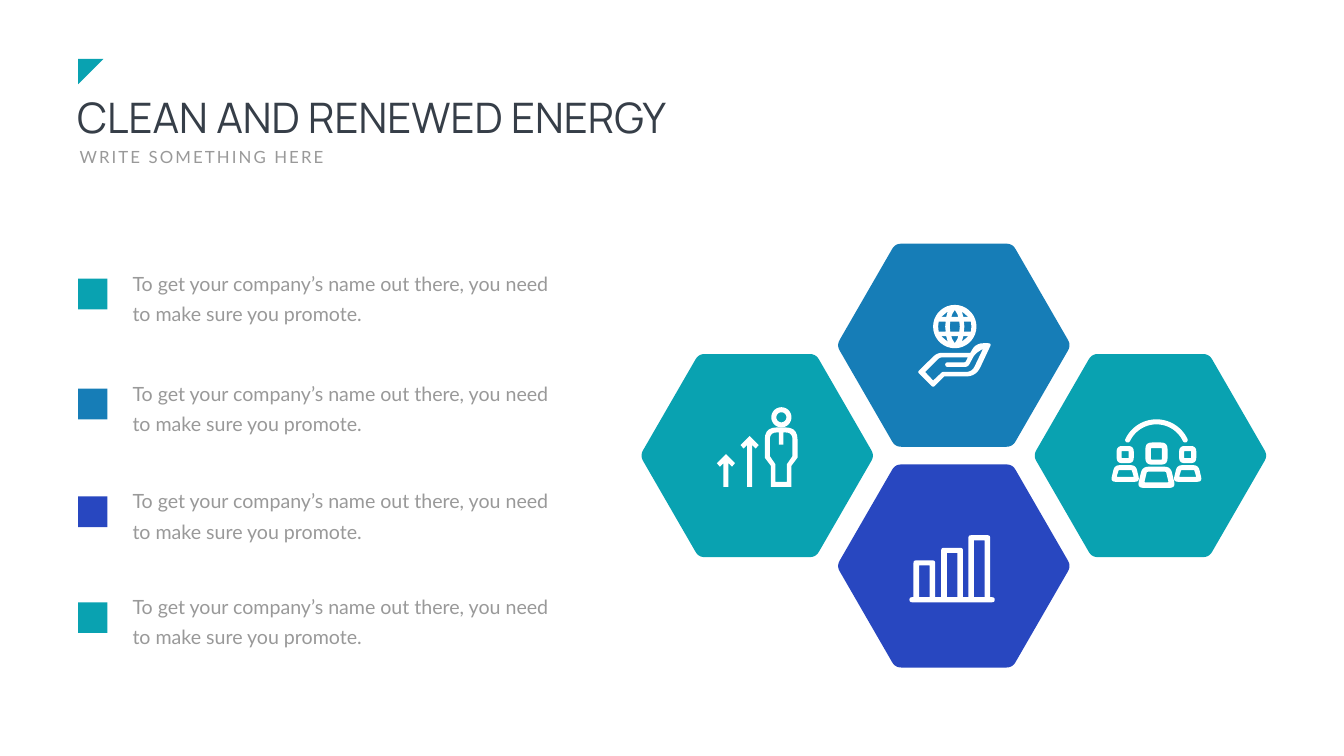
"""Build the clean and renewed energy slide with its bullets and hexagon icons."""
from math import cos, dist, radians, sin

from pptx import Presentation
from pptx.dml.color import RGBColor
from pptx.enum.shapes import MSO_SHAPE as Preset
from pptx.enum.text import MSO_ANCHOR as Anchor, MSO_AUTO_SIZE as AutoSize, PP_ALIGN as Align
from pptx.util import Inches, Pt

COLORS = {"teal": "09A2B1", "blue": "167DB7", "indigo": "2847C0",
          "white": "FFFFFF", "dark": "363E48", "gray": "999999"}

TITLE = "CLEAN AND RENEWED ENERGY"
SUBTITLE = "WRITE SOMETHING HERE"
PROMOTE = "To get your company’s name out there, you need to make sure you promote."
BULLETS = [(5.53, "teal", PROMOTE), (7.71, "blue", PROMOTE),
           (9.85, "indigo", PROMOTE), (11.95, "teal", PROMOTE)]

CLUSTER = (18.92, 9.04)
COLUMN_STEP, ROW_STEP = 3.9, 2.19
HEXAGONS = [(-1, 0, "teal"), (0, -1, "blue"), (0, 1, "indigo"), (1, 0, "teal")]
HEX_WIDTH, HEX_HEIGHT, HEX_CUT = 4.65, 4.03, 0.12

GLOBE = (18.94, 6.48)
GLOBE_CORNER = [(0.14, 0.3), (0.17, 0.19), (0.27, 0.19)]
GLOBE_SIDE = [(0.18, -0.1), (0.19, 0), (0.18, 0.1), (0.32, 0.1), (0.33, 0), (0.32, -0.1)]
GLOBE_CAP = [(-0.07, 0.19), (-0.05, 0.25), (0, 0.33), (0.05, 0.25), (0.07, 0.19)]
GLOBE_CORE = [(-0.09, -0.1), (-0.1, 0), (-0.09, 0.1), (0.09, 0.1), (0.1, 0), (0.09, -0.1)]
HAND = [
    [(18.2, 7.38, 0.04), (18.59, 7, 0.1), (19.25, 7), (19.35, 6.81, 0.16), (19.67, 6.81, 0.07),
     (19.36, 7.47, 0.2), (18.73, 7.47), (18.51, 7.69, 0.05)],
    [(18.35, 7.38), (18.64, 7.09, 0.06), (19.2, 7.09), (19.15, 7.19, 0.03), (18.75, 7.19, 0.05),
     (18.75, 7.28, 0.05), (19.2, 7.28, 0.06), (19.34, 7.02, 0.08), (19.5, 6.92),
     (19.28, 7.38, 0.12), (18.69, 7.38, 0.02), (18.51, 7.55)],
]
WORKER = [
    [(15.17, 8.48, 0.24), (15.82, 8.48, 0.24), (15.82, 9.08), (15.7, 9.24), (15.7, 9.66),
     (15.29, 9.66), (15.29, 9.24), (15.17, 9.08)],
    [(15.27, 8.58, 0.14), (15.45, 8.58), (15.45, 8.82), (15.54, 8.82), (15.54, 8.58),
     (15.72, 8.58, 0.14), (15.72, 9.05), (15.61, 9.21), (15.61, 9.56), (15.38, 9.56),
     (15.38, 9.21), (15.27, 9.05)],
]
WORKER_HEAD = (15.5, 8.28)
ARROWS = [(14.87, 8.65), (14.4, 9.01)]
ARROW_FOOT = 9.66
CROWD = [
    [(22.94, 8.78, 9.22, 0.22, 0.22, 0.13), (22.94, 8.89, 9.12, 0.11, 0.11, 0.02)],
    [(22.94, 9.26, 9.68, 0.28, 0.38, 0.12), (22.94, 9.36, 9.57, 0.19, 0.24, 0.02)],
]
for neighbour in (22.32, 23.56):
    CROWD += [
        [(neighbour, 8.85, 9.19, 0.17, 0.17, 0.11), (neighbour, 8.95, 9.09, 0.07, 0.07, 0.01)],
        [(neighbour, 9.23, 9.56, 0.21, 0.29, 0.1), (neighbour, 9.33, 9.46, 0.13, 0.17, 0.01)],
    ]
BARS = [(18.12, 11.12), (18.67, 10.87), (19.21, 10.62)]
BAR_WIDTH, BAR_WALL, BAR_BASE = 0.43, 0.11, 11.85


def arc(x, y, radius, start=0, stop=360, steps=36):
    """Return points on an arc, with angles counterclockwise in degrees."""
    angles = [radians(start + (stop - start) * step / steps) for step in range(steps + 1)]
    return [(x + radius * cos(angle), y - radius * sin(angle)) for angle in angles]


def rounded(corners):
    """Return the outline with each (x, y, cut) corner turned into a curve."""
    outline = []
    for index, (x, y, *cut) in enumerate(corners):
        if not cut:
            outline.append((x, y))
            continue
        ends = []
        for other in (corners[index - 1], corners[(index + 1) % len(corners)]):
            share = cut[0] / dist((x, y), other[:2])
            ends.append((x + (other[0] - x) * share, y + (other[1] - y) * share))
        for t in (0, 0.2, 0.4, 0.6, 0.8, 1):
            weights = ((1 - t) ** 2, 2 * t * (1 - t), t * t)
            outline.append(tuple(sum(weight * point[axis] for weight, point
                                     in zip(weights, (ends[0], (x, y), ends[1])))
                                 for axis in (0, 1)))
    return outline


def trapezoid(x, top, bottom, half_top, half_bottom, cut):
    """Return a symmetric trapezoid with rounded corners."""
    return rounded([(x - half_top, top, cut), (x + half_top, top, cut),
                    (x + half_bottom, bottom, cut), (x - half_bottom, bottom, cut)])


def paint(shape, color):
    """Give a shape a flat fill without line or shadow."""
    shape.shadow.inherit = False
    shape.fill.solid()
    shape.fill.fore_color.rgb = RGBColor.from_string(COLORS[color])
    shape.line.fill.background()


def draw(shapes, color, *contours):
    """Draw one freeform from closed contours, the inner ones being holes."""
    builder = None
    for contour in contours:
        points = [(Inches(x), Inches(y)) for x, y in contour]
        if builder is None:
            builder = shapes.build_freeform(*points[0])
        else:
            builder.move_to(*points[0])
        builder.add_line_segments(points[1:], close=True)
    paint(builder.convert_to_shape(), color)


def add_preset(shapes, preset, color, box, rotation=0):
    """Add a filled preset shape."""
    shape = shapes.add_shape(preset, *map(Inches, box))
    shape.rotation = rotation
    paint(shape, color)


def write(holder, text, size, font="Lato", color="gray", wrap=True, leading=None, tracking=None):
    """Write one formatted paragraph into a text holder."""
    frame = holder.text_frame
    frame.word_wrap = wrap
    frame.auto_size = AutoSize.SHAPE_TO_FIT_TEXT
    frame.vertical_anchor = Anchor.TOP
    paragraph = frame.paragraphs[0]
    paragraph.alignment = Align.LEFT
    if leading:
        paragraph.line_spacing = Pt(leading)
    run = paragraph.add_run()
    run.text = text
    run.font.size = Pt(size)
    run.font.name = font
    run.font.color.rgb = RGBColor.from_string(COLORS[color])
    if tracking:
        run.font._element.set("spc", str(tracking * 100))


def draw_globe(shapes):
    """Draw the globe with its grid of openings."""
    openings = [(GLOBE_CORE, 1, 1)]
    openings += [(GLOBE_CORNER, sx, sy) for sx in (-1, 1) for sy in (-1, 1)]
    openings += [(GLOBE_SIDE, sx, 1) for sx in (-1, 1)]
    openings += [(GLOBE_CAP, 1, sy) for sy in (-1, 1)]
    x, y = GLOBE
    draw(shapes, "white", arc(x, y, 0.43),
         *[[(x + sx * dx, y + sy * dy) for dx, dy in points] for points, sx, sy in openings])


def draw_bars(shapes):
    """Draw the bar icon on its rounded baseline."""
    skyline, openings = [], []
    for left, top in BARS:
        right = left + BAR_WIDTH
        skyline += [(left, BAR_BASE), (left, top, 0.05), (right, top, 0.05), (right, BAR_BASE)]
        inner = (left + BAR_WALL, right - BAR_WALL)
        openings.append([(inner[0], top + 0.1), (inner[1], top + 0.1),
                         (inner[1], BAR_BASE), (inner[0], BAR_BASE)])
    baseline = [(19.73, 11.85, 0.05), (19.73, 11.95, 0.05),
                (18.04, 11.95, 0.05), (18.04, 11.85, 0.05)]
    draw(shapes, "white", rounded(skyline + baseline), *openings)


def main():
    """Assemble and save the slide."""
    deck = Presentation()
    deck.slide_width, deck.slide_height = Inches(26.66), Inches(15)
    slide = deck.slides.add_slide(deck.slide_layouts[5])
    shapes = slide.shapes

    title = shapes.title
    title.left, title.top, title.width, title.height = map(Inches, (1.43, 1.76, 14.33, 1.11))
    write(title, TITLE, 60, font="Manrope", color="dark")
    subtitle = shapes.add_textbox(*map(Inches, (1.48, 2.87, 5.14, 0.5)))
    write(subtitle, SUBTITLE, 24, wrap=False, tracking=3)
    add_preset(shapes, Preset.RIGHT_TRIANGLE, "teal", (1.55, 1.17, 0.5, 0.5), rotation=90)

    for column, row, color in HEXAGONS:
        x, y = CLUSTER[0] + column * COLUMN_STEP, CLUSTER[1] + row * ROW_STEP
        reach, rise = HEX_WIDTH / 2, HEX_HEIGHT / 2
        ring = [(1, 0), (0.5, 1), (-0.5, 1), (-1, 0), (-0.5, -1), (0.5, -1)]
        draw(shapes, color, rounded([(x + dx * reach, y + dy * rise, HEX_CUT) for dx, dy in ring]))

    for top, color, text in BULLETS:
        add_preset(shapes, Preset.RECTANGLE, color, (1.55, top, 0.58, 0.61))
        bullet = shapes.add_textbox(*map(Inches, (2.53, top - 0.32, 8.58, 1.25)))
        write(bullet, text, 28, leading=43)

    for part in CROWD:
        draw(shapes, "white", *[trapezoid(*outline) for outline in part])
    draw(shapes, "white", arc(22.94, 9, 0.68, 155, 25) + arc(23.51, 8.73, 0.05, 25, -155)
         + arc(22.94, 9, 0.58, 25, 155) + arc(22.37, 8.73, 0.05, 335, 155))
    draw(shapes, "white", *map(rounded, WORKER))
    draw(shapes, "white", arc(*WORKER_HEAD, 0.2), arc(*WORKER_HEAD, 0.1))
    for x, y in ARROWS:
        half = [(0.05, ARROW_FOOT - y), (0.05, 0.18), (0.12, 0.25), (0.18, 0.18), (0, 0)]
        draw(shapes, "white", [(x + dx, y + dy) for dx, dy in half]
             + [(x - dx, y + dy) for dx, dy in half[-2::-1]])
    draw(shapes, "white", *map(rounded, HAND))
    draw_globe(shapes)
    draw_bars(shapes)
    deck.save("out.pptx")


if __name__ == "__main__":
    main()
